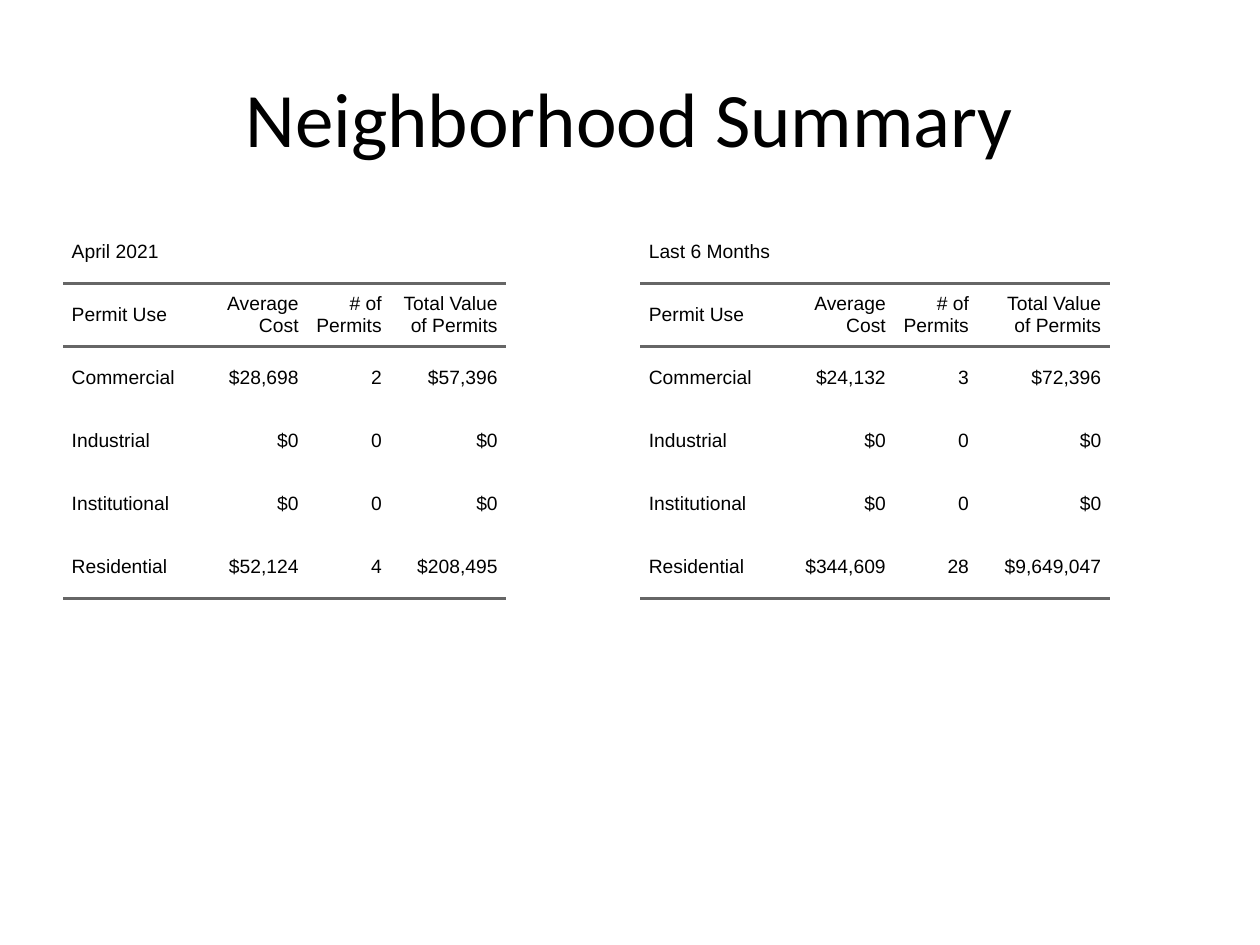
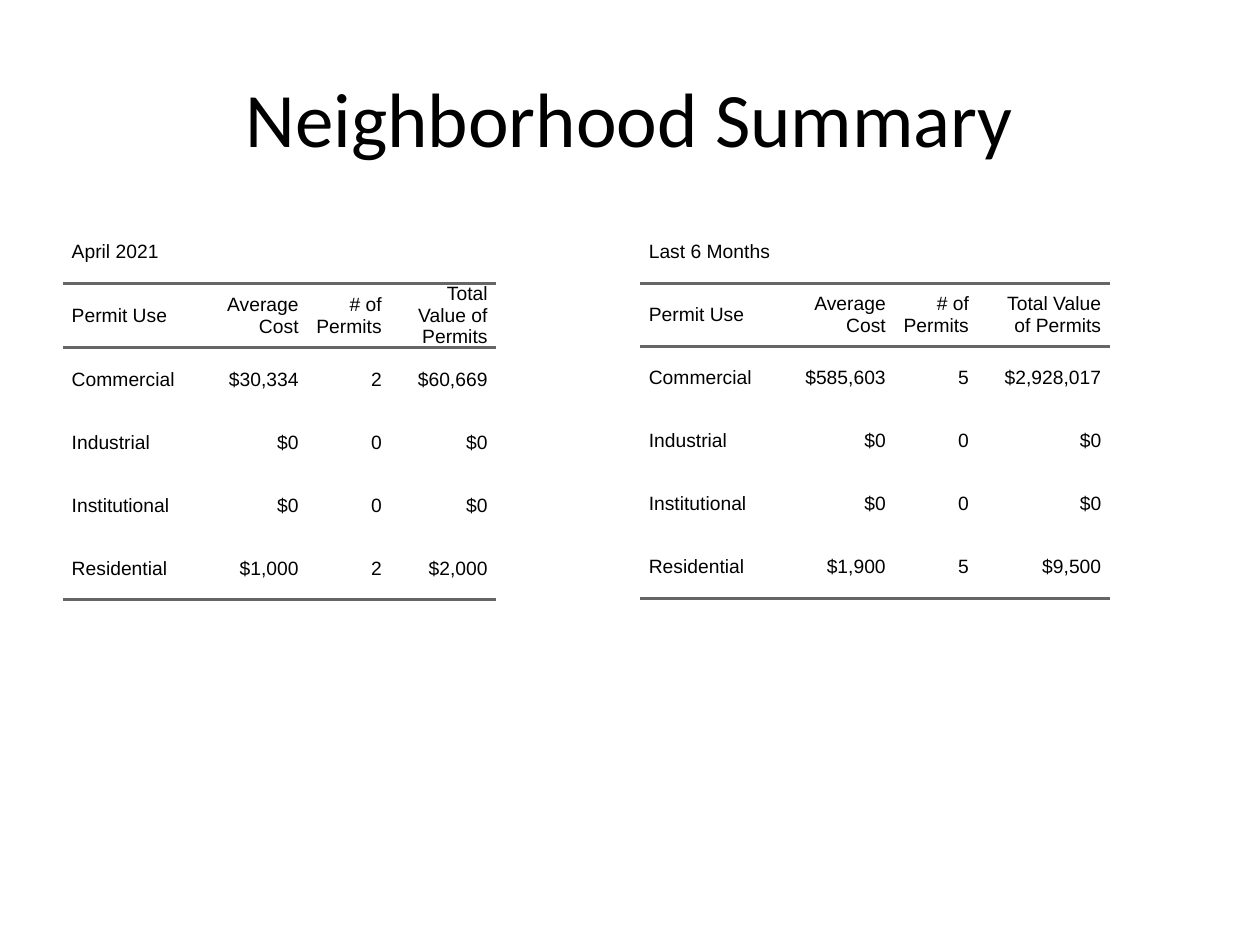
import pptx
import pptx.dml.color
import pptx.enum.text
import pptx.oxml
import pptx.util
from pptx.oxml.ns import nsdecls, qn

Inches = pptx.util.Inches
Pt = pptx.util.Pt
ALIGN = pptx.enum.text.PP_ALIGN
MIDDLE = pptx.enum.text.MSO_ANCHOR.MIDDLE

# Shared look
BLACK = pptx.dml.color.RGBColor(0x00, 0x00, 0x00)
GREY = pptx.dml.color.RGBColor(0x66, 0x66, 0x66)
PLAIN = "{2D5ABB26-0587-4C30-8999-92F81FD0307C}"  # no style, no grid
TITLE = "Neighborhood Summary"
HEADS = ["Permit Use", "Average Cost", "# of Permits", "Total Value of Permits"]
NONE = ["$0", "0", "$0"]
ROW = 0.5
INDENT = Pt(5)
TOP = 1.75
LEFT, RIGHT = 0.5, 5.08
WIDE = [1.1, 0.92, 0.66, 1.05]

# Per slide: (left edge, period, column widths, commercial, residential)
SLIDES = [
    [
        (LEFT, "April 2021", [1.1, 0.84, 0.66, 0.92],
         ["$28,698", "2", "$57,396"], ["$52,124", "4", "$208,495"]),
        (RIGHT, "Last 6 Months", WIDE,
         ["$24,132", "3", "$72,396"], ["$344,609", "28", "$9,649,047"]),
    ],
    [
        (LEFT, "April 2021", [1.1, 0.84, 0.66, 0.84],
         ["$30,334", "2", "$60,669"], ["$1,000", "2", "$2,000"]),
        (RIGHT, "Last 6 Months", WIDE,
         ["$585,603", "5", "$2,928,017"], ["$1,900", "5", "$9,500"]),
    ],
]


def style(font, name, size):
    font.name, font.size = name, Pt(size)
    font.color.rgb = BLACK


def rule(cell, side):
    """Draw a grey line on side T or B of a cell."""
    cell._tc.get_or_add_tcPr().append(pptx.oxml.parse_xml(
        f'<a:ln{side} {nsdecls("a")} w="{Pt(2)}"><a:solidFill>'
        f'<a:srgbClr val="{GREY}"/></a:solidFill></a:ln{side}>'))


def fill_cell(cell, text, align, sides):
    cell.margin_left = cell.margin_right = 0
    cell.margin_top = cell.margin_bottom = 0
    cell.vertical_anchor = MIDDLE
    for side in sides:
        rule(cell, side)
    cell.fill.background()
    para = cell.text_frame.paragraphs[0]
    para.text = text
    para.alignment = align
    props = para._p.get_or_add_pPr()
    for key in ("marL", "marR"):
        props.set(key, str(INDENT))
    props.set("indent", "0")
    for run in para.runs:
        style(run.font, "Arial", 11)


def add_permits(slide, left, top, period, widths, trade, homes):
    """Place one permit table with its top left corner at left, top."""
    rows = [
        [period],
        HEADS,
        ["Commercial"] + trade,
        ["Industrial"] + NONE,
        ["Institutional"] + NONE,
        ["Residential"] + homes,
    ]
    frame = slide.shapes.add_table(
        len(rows), len(widths), Inches(left), Inches(top),
        Inches(sum(widths)), Inches(ROW * len(rows)))
    table = frame.table
    table.first_row = table.horz_banding = False
    table._tbl.tblPr.find(qn("a:tableStyleId")).text = PLAIN
    for col, width in zip(table.columns, widths):
        col.width = Inches(width)
    for row in table.rows:
        row.height = Inches(ROW)

    # The period spans the table; lines frame the heads and close the end
    table.cell(0, 0).merge(table.cell(0, len(widths) - 1))
    lines = {1: "TB", len(rows) - 1: "B"}
    for r, texts in enumerate(rows):
        for c, text in enumerate(texts):
            align = ALIGN.RIGHT if c else ALIGN.LEFT
            fill_cell(table.cell(r, c), text, align, lines.get(r, ""))


def add_title(slide):
    title = slide.shapes.title
    title.left, title.top = Inches(0.5), Inches(0.3)
    title.width, title.height = Inches(9), Inches(1.25)
    frame = title.text_frame
    frame.text = TITLE
    frame.vertical_anchor = MIDDLE
    para = frame.paragraphs[0]
    para.alignment = ALIGN.CENTER
    style(para.runs[0].font, "Calibri", 44)


def main():
    deck = pptx.Presentation()
    deck.slide_width, deck.slide_height = Inches(10), Inches(7.5)
    for tables in SLIDES:
        slide = deck.slides.add_slide(deck.slide_layouts[5])
        add_title(slide)
        for left, *parts in tables:
            add_permits(slide, left, TOP, *parts)
    deck.save("out.pptx")


if __name__ == "__main__":
    main()
